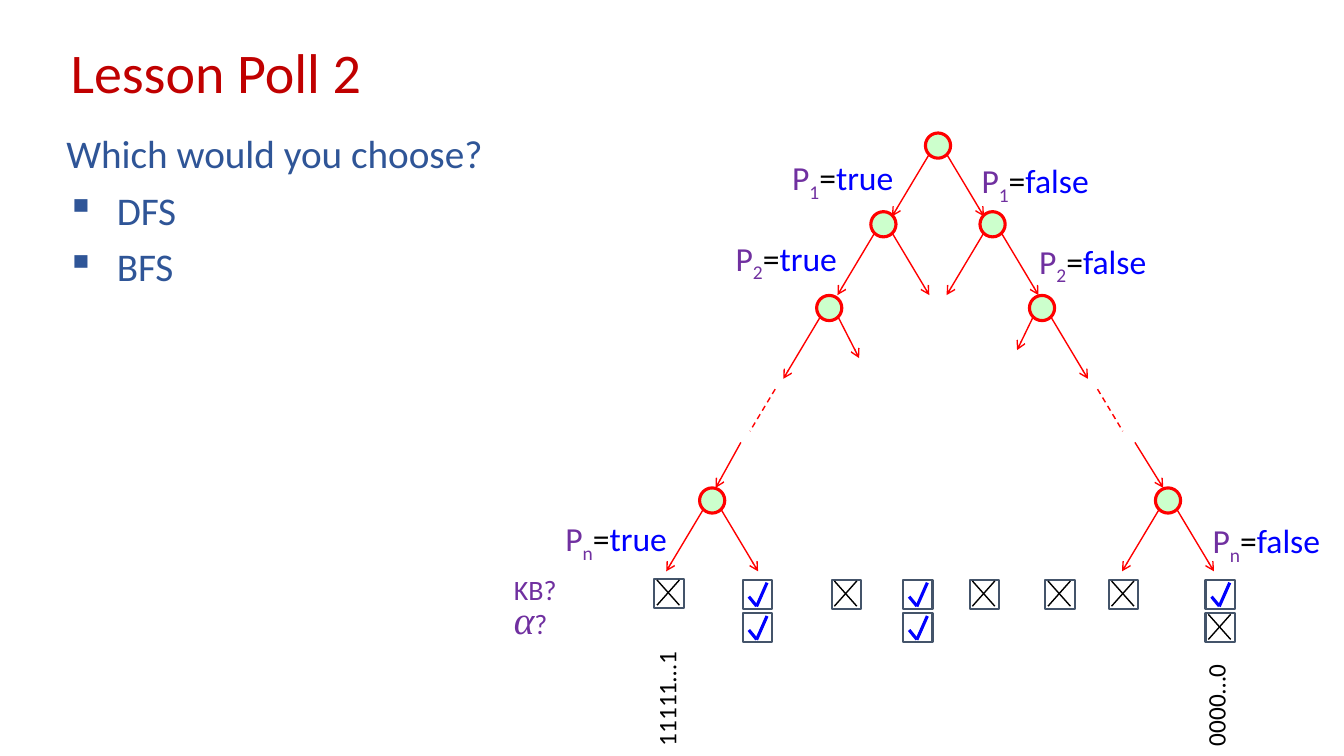
import dataclasses

import pptx
import pptx.dml.color
import pptx.enum.dml
import pptx.enum.shapes
import pptx.enum.text
import pptx.oxml
import pptx.oxml.ns
import pptx.util

Pt = pptx.util.Pt
RGB = pptx.dml.color.RGBColor.from_string
SHAPE = pptx.enum.shapes.MSO_SHAPE
DASH = pptx.enum.dml.MSO_LINE.DASH
qn = pptx.oxml.ns.qn


@dataclasses.dataclass(frozen=True)
class Theme:
    heading = RGB("C00000")
    body = RGB("2F5597")
    symbol = RGB("7030A0")
    value = RGB("0000FF")
    ink = RGB("000000")
    edge = RGB("FF0000")
    node = RGB("CCFFCC")
    box = RGB("44546A")
    heading_size = Pt(40)
    body_size = Pt(28)
    label_size = Pt(24)
    row_size = Pt(20)
    model_size = Pt(18)


theme = Theme()

presentation = pptx.Presentation()
presentation.slide_width = Pt(960)
presentation.slide_height = Pt(540)
slide = presentation.slides.add_slide(presentation.slide_layouts[5])


def add_stroke(start, end, color, width, dash=None, arrow=False):
    stroke = slide.shapes.add_connector(
        pptx.enum.shapes.MSO_CONNECTOR.STRAIGHT, *map(Pt, (*start, *end)))
    stroke.line.color.rgb = color
    stroke.line.width = Pt(width)
    if dash:
        stroke.line.dash_style = dash
    if arrow:
        pptx.oxml.ns  # arrowhead belongs to the line properties
        head = stroke.line._get_or_add_ln().makeelement(qn("a:tailEnd"), {"type": "arrow"})
        stroke.line._get_or_add_ln().append(head)
    properties = stroke._element.spPr
    properties.append(properties.makeelement(qn("a:effectLst"), {}))


def write_runs(paragraph, runs):
    """Add (text, font values) runs; a "baseline" value shifts the run."""
    for text, values in runs:
        run = paragraph.add_run()
        run.text = text
        for name, value in {"name": "Calibri", **values}.items():
            if name == "color":
                run.font.color.rgb = value
            elif name == "baseline":
                run._r.get_or_add_rPr().set("baseline", value)
            else:
                setattr(run.font, name, value)


# Title and question
title = slide.shapes.title
title.left, title.top, title.width, title.height = map(Pt, (43.2, 28.8, 828, 49.7))
title.text_frame.auto_size = pptx.enum.text.MSO_AUTO_SIZE.NONE
heading = title.text_frame.paragraphs[0]
heading.alignment = pptx.enum.text.PP_ALIGN.LEFT
heading.line_spacing = 0.9
write_runs(heading, [("Lesson Poll 2", {"size": theme.heading_size, "color": theme.heading})])

question = slide.shapes.add_textbox(*map(Pt, (40.3, 92.9, 486, 172))).text_frame
question.word_wrap = True
for index, wording in enumerate(("Which would you choose?", "DFS", "BFS")):
    line = question.paragraphs[0] if index == 0 else question.add_paragraph()
    line.line_spacing = 0.9
    if index:
        line.space_before = Pt(10)
        indents = line._p.get_or_add_pPr()
        indents.set("marL", str(Pt(36)))
        indents.set("indent", str(-Pt(36)))
        indents.append(indents.makeelement(qn("a:buChar"), {"char": "▪"}))
    write_runs(line, [(wording, {"size": theme.body_size, "color": theme.body})])

# Search tree: node centre, then the reach of its left and right branch
branch = (26.5, 44.3)
tree = [
    ((670, 104), branch, branch),
    ((631, 160.2), branch, branch),
    ((709, 160.2), branch, branch),
    ((592.3, 220), branch, (15.1, 29.5)),
    ((744.3, 220), (11.5, 23.8), branch),
    ((508.7, 357.5), branch, branch),
    ((834.3, 357.5), branch, branch),
]
radius, exit_offset = 9, 6.3
for (x, y), *reaches in tree:
    node = slide.shapes.add_shape(
        SHAPE.OVAL, *map(Pt, (x - radius, y - radius, 2 * radius, 2 * radius)))
    node.shadow.inherit = False
    node.fill.solid()
    node.fill.fore_color.rgb = theme.node
    node.line.color.rgb = theme.edge
    node.line.width = Pt(2.25)
    for side, (across, down) in zip((-1, 1), reaches):
        start = x + side * exit_offset, y + exit_offset
        add_stroke(start, (start[0] + side * across, start[1] + down),
                   theme.edge, 1, arrow=True)

for start, end in (((529.2, 316), (511.2, 348.5)), ((810.7, 316), (830.9, 348.5))):
    add_stroke(start, end, theme.edge, 1, arrow=True)
for start, end in (((553.7, 278), (535.7, 308)), ((784, 278), (802, 308))):
    add_stroke(start, end, theme.edge, 1, dash=DASH)

# Text beside the tree: left, top, width, height, rotation, runs
notes = []
for left, top, subscript, value in (
    (558.7, 108.7, "1", "true"), (694, 110.9, "1", "false"),
    (518.4, 166.3, "2", "true"), (735.1, 168.5, "2", "false"),
    (396.7, 366.5, "n", "true"), (859, 368, "n", "false"),
):
    symbol = {"size": theme.label_size, "color": theme.symbol}
    notes.append((left, top, 88.6 if value == "true" else 93, 36, 0, [
        ("P", symbol),
        (subscript, {**symbol, "baseline": "-25000"}),
        ("=", {**symbol, "color": theme.ink}),
        (value, {**symbol, "color": theme.value}),
    ]))

model = {"size": theme.model_size, "color": theme.ink}
row = {"size": theme.row_size, "color": theme.symbol}
alpha = {"name": "Times New Roman", "size": theme.body_size,
         "color": theme.symbol, "italic": True}
notes += [
    (432, 481.7, 87.8, 28.8, 270, [("11111…1", model)]),
    (826.6, 483.8, 83.5, 28.8, 270, [("0000…0", model)]),
    (360, 405.4, 45.4, 31.7, 0, [("KB?", row)]),
    (360, 422, 39, 41, 0, [("α", alpha), ("?", row)]),
]
for left, top, width, height, rotation, runs in notes:
    note = slide.shapes.add_textbox(*map(Pt, (left, top, width, height)))
    note.rotation = rotation
    note.text_frame.word_wrap = False
    write_runs(note.text_frame.paragraphs[0], runs)

# Result boxes: strokes are offsets from the corner of the box
cross = (theme.ink, 1, [((2, 1), (18, 19)), ((18, 1), (2, 19))])
check = (theme.value, 2.25, [((4.3, 12.2), (9.8, 18.9)), ((9.8, 19.2), (17.3, 2.2))])
kb_row, alpha_row = 414, 437.8
results = [
    (467.3, 413.3, cross), (530.6, kb_row, check), (594, kb_row, cross),
    (645.1, kb_row, check), (692.6, kb_row, cross), (746.6, kb_row, cross),
    (792, kb_row, cross), (861.1, kb_row, check),
    (530.6, alpha_row, check), (645.1, alpha_row, check), (861.1, alpha_row, cross),
]
for left, top, (color, width, strokes) in results:
    result = slide.shapes.add_shape(SHAPE.RECTANGLE, *map(Pt, (left, top, 21, 21)))
    result.shadow.inherit = False
    result.fill.background()
    result.line.color.rgb = theme.box
    result.line.width = Pt(1.5)
    for start, end in strokes:
        add_stroke((left + start[0], top + start[1]), (left + end[0], top + end[1]),
                   color, width)

presentation.save("out.pptx")
